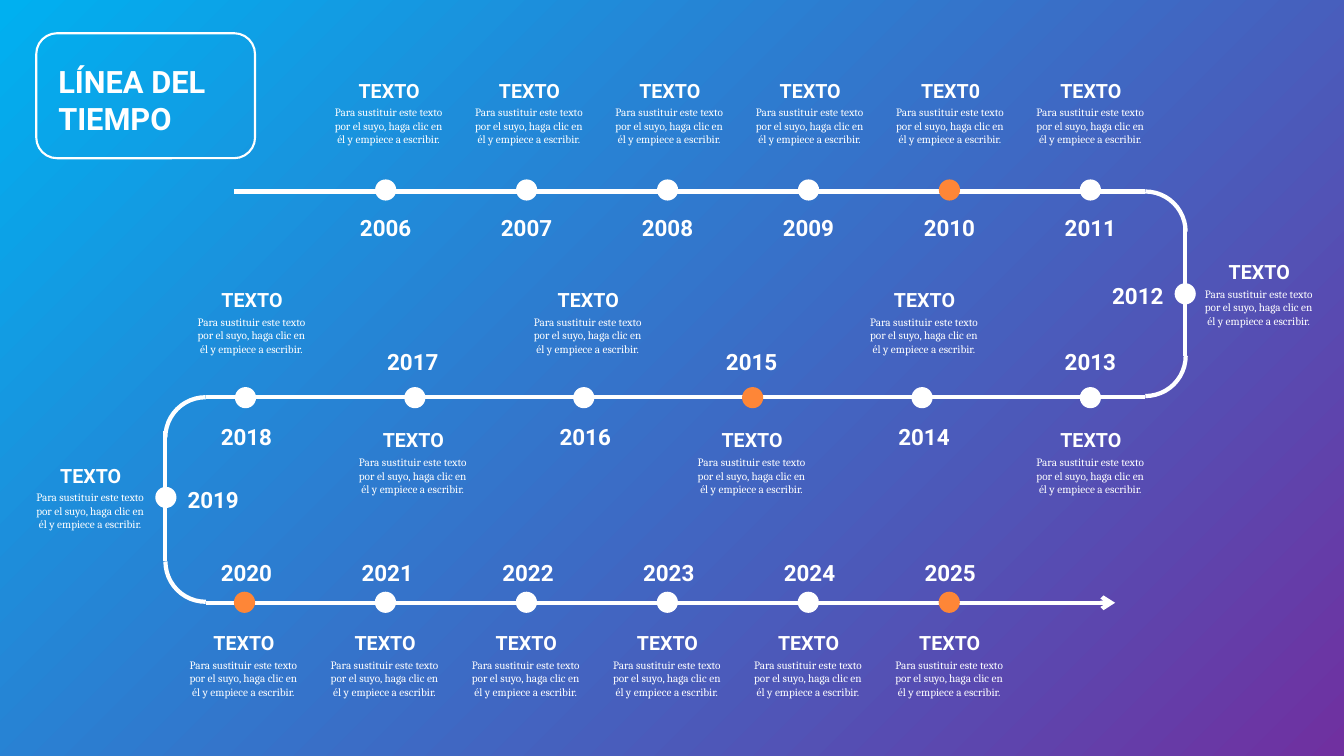
from dataclasses import dataclass

import lxml.etree
import pptx
import pptx.dml.color
import pptx.dml.line
import pptx.enum.shapes
import pptx.enum.text
import pptx.oxml.ns
import pptx.shapes.autoshape
import pptx.shapes.connector
import pptx.shapes.shapetree
import pptx.slide
import pptx.util

Inches = pptx.util.Inches
ShapeKind = pptx.enum.shapes.MSO_SHAPE
Alignment = pptx.enum.text.PP_ALIGN
Point = tuple[float, float]
Box = tuple[float, float, float, float]


@dataclass(frozen=True)
class TextStyle:
    font: str
    size: float
    bold: bool = True
    alignment: Alignment = Alignment.CENTER


@dataclass(frozen=True)
class Theme:
    white: str = "FFFFFF"
    orange: str = "FE8637"
    background_start: str = "00B0F0"
    background_end: str = "7030A0"
    track_width: float = 3
    frame_width: float = 1.5
    title: TextStyle = TextStyle("Roboto", 22, alignment=Alignment.LEFT)
    year: TextStyle = TextStyle("Roboto", 16)
    heading: TextStyle = TextStyle("Roboto", 14)
    body: TextStyle = TextStyle("Cambria", 8, bold=False)


@dataclass(frozen=True)
class Spread:
    """Left edges spaced evenly from first to last, sharing one top."""
    first: float
    last: float
    top: float

    def place(self, index: int, count: int) -> Point:
        step = (self.last - self.first) / max(count - 1, 1)
        return self.first + index * step, self.top


@dataclass(frozen=True)
class MilestoneRow:
    years: range
    dots: Spread
    year_labels: Spread
    descriptions: Spread


@dataclass(frozen=True)
class Bend:
    """Half turn of the track: two quarter arcs joined by a straight line."""
    left: float
    top: float
    line_x: float
    line_top: float
    line_bottom: float
    rotations: tuple[int, int]


THEME = Theme()
DOT_SIZE = 0.21
ARC_SIZE = 0.8
ARC_DROP = 1.23
HIGHLIGHTED_YEARS = {2010, 2015, 2020, 2025}
HEADINGS = {2010: "TEXT0"}
BODY = "Para sustituir este texto por el suyo, haga clic en él y empiece a escribir."

ROWS = [
    MilestoneRow(range(2006, 2012), Spread(3.72, 10.71, 1.78),
                 Spread(3.46, 10.45, 2.08), Spread(3.22, 10.18, 0.73)),
    MilestoneRow(range(2012, 2013), Spread(11.65, 11.65, 2.81),
                 Spread(10.92, 10.92, 2.75), Spread(11.85, 11.85, 2.53)),
    MilestoneRow(range(2013, 2018, 2), Spread(10.71, 4.01, 3.84),
                 Spread(10.45, 3.73, 3.4), Spread(10.18, 3.46, 4.2)),
    MilestoneRow(range(2014, 2019, 2), Spread(9.04, 2.33, 3.84),
                 Spread(8.8, 2.08, 4.15), Spread(8.53, 1.86, 2.81)),
    MilestoneRow(range(2019, 2020), Spread(1.54, 1.54, 4.83),
                 Spread(1.75, 1.75, 4.77), Spread(0.26, 0.26, 4.55)),
    MilestoneRow(range(2020, 2026), Spread(2.32, 9.31, 5.87),
                 Spread(2.08, 9.06, 5.5), Spread(1.78, 8.78, 6.21)),
]
BENDS = [
    Bend(10.96, 1.9, 11.75, 2.24, 3.53, (0, 90)),
    Bend(1.64, 3.94, 1.64, 4.28, 5.57, (270, 180)),
]
TRACKS = [((2.32, 1.9), (11.36, 1.9)), ((11.36, 3.94), (2.04, 3.94)), ((10.88, 5.98), (2.04, 5.98))]


def color(value: str) -> pptx.dml.color.RGBColor:
    return pptx.dml.color.RGBColor.from_string(value)


def style_line(line: pptx.dml.line.LineFormat, width: float) -> None:
    line.color.rgb = color(THEME.white)
    line.width = pptx.util.Pt(width)


def add_line(shapes: pptx.shapes.shapetree.GroupShapes, start: Point, end: Point) -> pptx.shapes.connector.Connector:
    connector = shapes.add_connector(
        pptx.enum.shapes.MSO_CONNECTOR.STRAIGHT, *(Inches(length) for length in start + end))
    style_line(connector.line, THEME.track_width)
    lxml.etree.SubElement(connector.element.spPr, pptx.oxml.ns.qn("a:effectLst"))
    return connector


def add_outline(shapes: pptx.shapes.shapetree.GroupShapes, kind: ShapeKind, box: Box,
                width: float) -> pptx.shapes.autoshape.Shape:
    shape = shapes.add_shape(kind, *map(Inches, box))
    shape.shadow.inherit = False
    shape.fill.background()
    style_line(shape.line, width)
    return shape


def add_text(shapes: pptx.shapes.shapetree.GroupShapes, text: str, box: Box, style: TextStyle) -> None:
    frame = shapes.add_textbox(*map(Inches, box)).text_frame
    frame.word_wrap = True
    frame.auto_size = pptx.enum.text.MSO_AUTO_SIZE.SHAPE_TO_FIT_TEXT
    paragraph = frame.paragraphs[0]
    paragraph.text = text
    paragraph.alignment = style.alignment
    paragraph.font.name = style.font
    paragraph.font.size = pptx.util.Pt(style.size)
    paragraph.font.bold = style.bold
    paragraph.font.color.rgb = color(THEME.white)


def paint_background(slide: pptx.slide.Slide) -> None:
    fill = slide.background.fill
    fill.gradient()
    fill.gradient_angle = 315
    for stop, value in zip(fill.gradient_stops, (THEME.background_start, THEME.background_end)):
        stop.color.rgb = color(value)


def add_bend(slide: pptx.slide.Slide, bend: Bend) -> None:
    shapes = slide.shapes.add_group_shape().shapes
    for index, rotation in enumerate(bend.rotations):
        box = (bend.left, bend.top + index * ARC_DROP, ARC_SIZE, ARC_SIZE)
        add_outline(shapes, ShapeKind.ARC, box, THEME.track_width).rotation = rotation
    add_line(shapes, (bend.line_x, bend.line_top), (bend.line_x, bend.line_bottom))


def add_track(slide: pptx.slide.Slide) -> None:
    for start, end in TRACKS:
        add_line(slide.shapes, start, end)
    for bend in BENDS:
        add_bend(slide, bend)
    arrow = add_line(slide.shapes, (10.82, 5.98), (11.06, 5.98))
    lxml.etree.SubElement(arrow.line._get_or_add_ln(), pptx.oxml.ns.qn("a:tailEnd"), type="arrow")


def add_dot(slide: pptx.slide.Slide, place: Point, fill: str) -> None:
    dot = slide.shapes.add_shape(
        ShapeKind.FLOWCHART_CONNECTOR, *map(Inches, (*place, DOT_SIZE, DOT_SIZE)))
    dot.shadow.inherit = False
    dot.fill.solid()
    dot.fill.fore_color.rgb = color(fill)
    dot.line.fill.background()


def add_description(slide: pptx.slide.Slide, place: Point, heading: str) -> None:
    left, top = place
    shapes = slide.shapes.add_group_shape().shapes
    add_text(shapes, heading, (left, top, 1.28, 0.33), THEME.heading)
    add_text(shapes, BODY, (left, top + 0.27, 1.27, 0.63), THEME.body)


def add_milestones(slide: pptx.slide.Slide, row: MilestoneRow) -> None:
    count = len(row.years)
    for index, year in enumerate(row.years):
        fill = THEME.orange if year in HIGHLIGHTED_YEARS else THEME.white
        add_dot(slide, row.dots.place(index, count), fill)
        add_text(slide.shapes, str(year), (*row.year_labels.place(index, count), 0.73, 0.37), THEME.year)
        add_description(slide, row.descriptions.place(index, count), HEADINGS.get(year, "TEXTO"))


def main() -> None:
    presentation = pptx.Presentation()
    presentation.slide_width = Inches(13.33)
    presentation.slide_height = Inches(7.5)
    slide = presentation.slides.add_slide(presentation.slide_layouts[6])
    paint_background(slide)
    add_track(slide)
    for row in ROWS:
        add_milestones(slide, row)
    add_outline(slide.shapes, ShapeKind.ROUNDED_RECTANGLE, (0.36, 0.33, 2.17, 1.24), THEME.frame_width)
    add_text(slide.shapes, "LÍNEA DEL TIEMPO", (0.48, 0.57, 1.94, 0.83), THEME.title)
    presentation.save("out.pptx")


if __name__ == "__main__":
    main()
